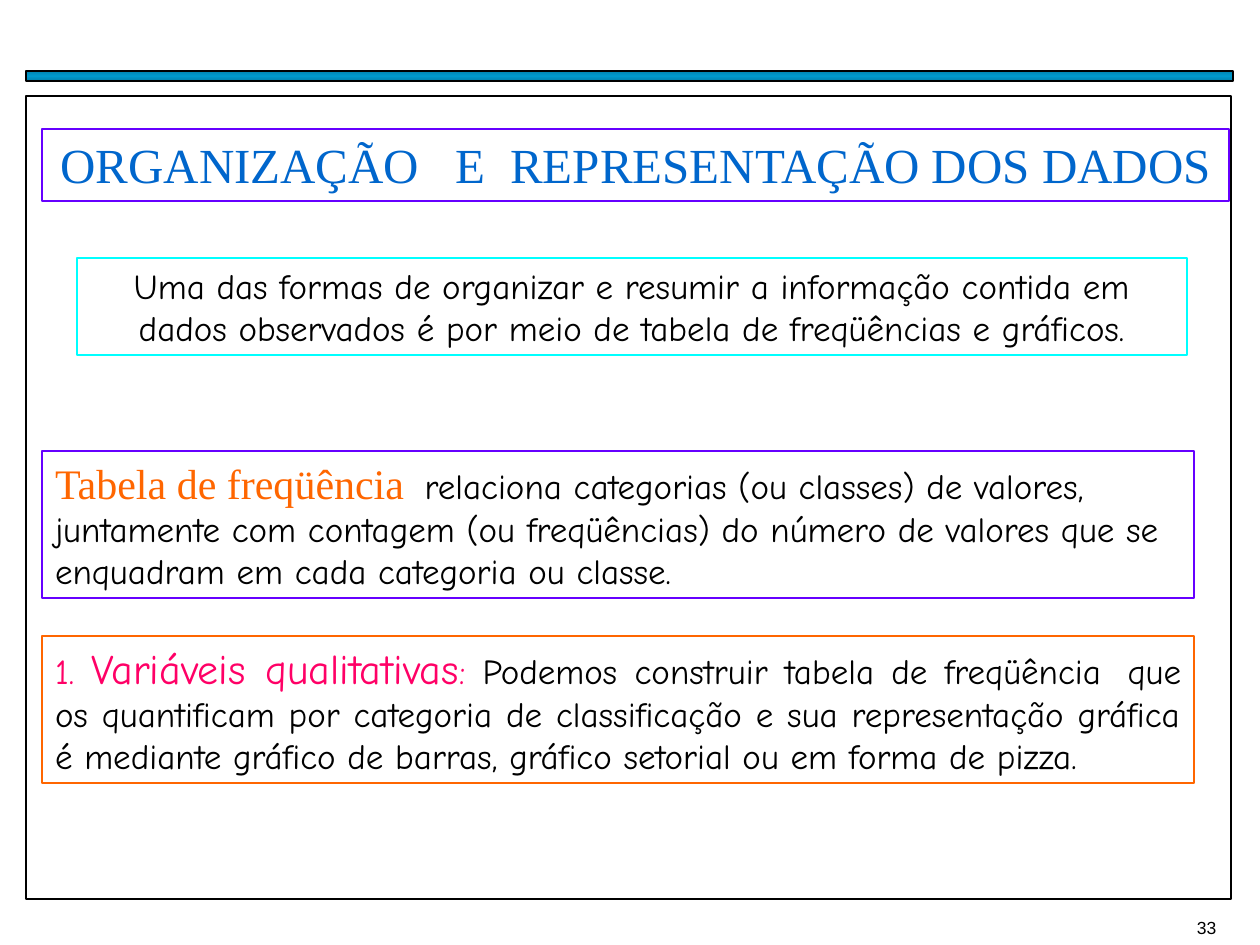
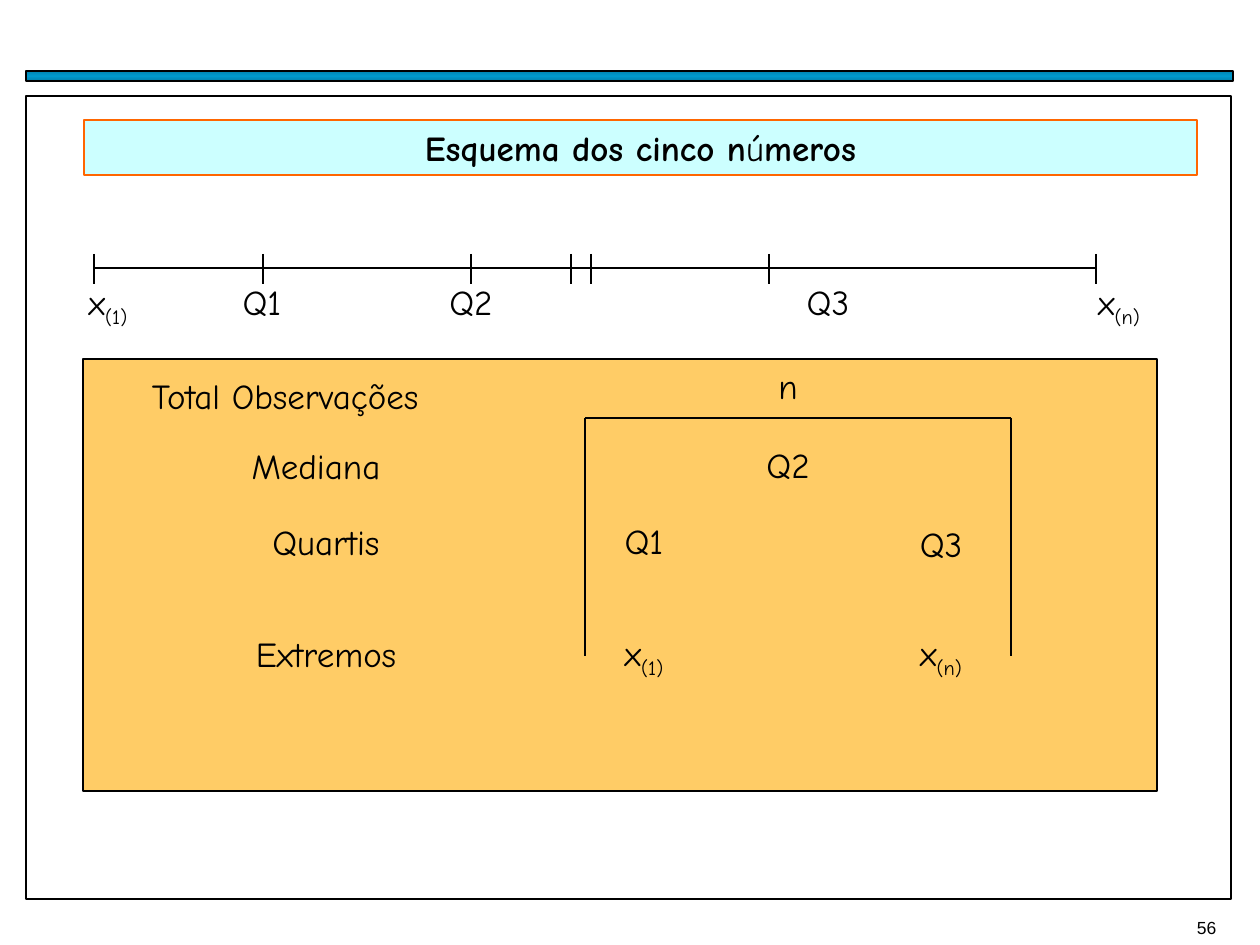
from copy import deepcopy

from pptx import Presentation
from pptx.dml.color import RGBColor
from pptx.enum.shapes import MSO_CONNECTOR as LINK, MSO_SHAPE as SHAPE
from pptx.enum.text import MSO_ANCHOR as ANCHOR, MSO_AUTO_SIZE as FIT, PP_ALIGN as ALIGN
from pptx.oxml.ns import qn
from pptx.oxml.xmlchemy import OxmlElement
from pptx.util import Emu, Pt

PX = 914400 / 126
HUES = {
    "black": "000000", "white": "FFFFFF", "blue": "0066CC", "violet": "6600FF",
    "cyan": "00FFFF", "pale": "CCFFFF", "orange": "FF6600", "pink": "FF0066",
    "sand": "FFCC66", "teal": "0099CC", "deep": "0083AF",
}
BODY = {"name": "Comic Neue", "size": 20, "hue": "black"}
SERIF = {"name": "Times New Roman"}
FIRST = [("x", {}), ("(1)", {"baseline": -25000})]
LAST = [("x", {}), ("(n)", {"baseline": -25000})]


def px(*nums):
    return [Emu(round(n * PX)) for n in nums]


def rgb(hue):
    return RGBColor.from_string(HUES[hue])


def wide(gap):
    """A single space made wider by a number of points."""
    return " ", {"spc": gap * 100}


def style(run, form):
    """Apply font values; spc and baseline go straight to the run properties."""
    for key, val in form.items():
        if key == "hue":
            run.font.color.rgb = rgb(val)
        elif key in ("spc", "baseline"):
            run.font._element.set(key, str(val))
        else:
            setattr(run.font, key, Pt(val) if key == "size" else val)


def write(shape, runs, align=ALIGN.CENTER, wrap=True, **form):
    frame = shape.text_frame
    inset = {"margin_left": 13, "margin_right": 13, "margin_top": 6, "margin_bottom": 6}
    for side, size in inset.items():
        setattr(frame, side, px(size)[0])
    frame.word_wrap = wrap
    frame.auto_size = FIT.NONE
    frame.vertical_anchor = ANCHOR.TOP
    para = frame.paragraphs[0]
    para.alignment = align
    for text, more in [(runs, {})] if isinstance(runs, str) else runs:
        run = para.add_run()
        run.text = text
        style(run, {**BODY, **form, **more})


def paint(shape, fill, line, width=1):
    if fill:
        shape.fill.solid()
        shape.fill.fore_color.rgb = rgb(fill)
    else:
        shape.fill.background()
    shape.line.color.rgb = rgb(line)
    shape.line.width = Pt(width)


def box(slide, place, fill, line, width=1):
    shape = slide.shapes.add_shape(SHAPE.RECTANGLE, *px(*place))
    shape.shadow.inherit = False
    paint(shape, fill, line, width)
    return shape


def label(slide, place, runs, **form):
    write(slide.shapes.add_textbox(*px(*place)), runs, **form)


def rule(slide, *ends):
    line = slide.shapes.add_connector(LINK.STRAIGHT, *px(*ends))
    line.line.color.rgb = rgb("black")
    line.line.width = Pt(1)
    line._element.spPr.append(OxmlElement("a:effectLst"))


def band(slide):
    bar = box(slide, (26, 71, 1207, 10), "deep", "black", 0.75)
    bar.fill.gradient()
    bar.fill.gradient_angle = 90
    stops = bar._element.spPr.find(qn("a:gradFill")).find(qn("a:gsLst"))
    stops.append(deepcopy(stops[0]))
    for stop, spot, hue in zip(bar.fill.gradient_stops, (0, 0.5, 1), ("deep", "teal", "deep")):
        stop.position = spot
        stop.color.rgb = rgb(hue)


def page(deck, number, place, title, fill, line, **form):
    """Start a slide with its band, frame, number and boxed title."""
    slide = deck.slides.add_slide(deck.slide_layouts[5])
    band(slide)
    label(slide, (1184, 911, 75, 33), number, align=ALIGN.LEFT, wrap=False,
          name="Arial", size=10)
    box(slide, (26, 96, 1205, 803), None, "black", 0)
    head = slide.shapes.title
    head.left, head.top, head.width, head.height = px(*place)
    paint(head, fill, line)
    write(head, title, **form)
    return slide


def data(deck):
    title = [("ORGANIZAÇÃO", {}), wide(14), ("E", {}), wide(7),
             ("REPRESENTAÇÃO DOS DADOS", {})]
    slide = page(deck, "33", (42, 129, 1187, 72), title, "white", "violet",
                 size=28, hue="blue", **SERIF)
    write(box(slide, (77, 258, 1110, 97), "white", "cyan"),
          "Uma das formas de organizar e resumir a informação contida em dados "
          "observados é por meio de tabela de freqüências e gráficos.")
    write(box(slide, (42, 451, 1152, 147), "white", "violet"), [
        ("Tabela de freqüência", {"size": 24, "hue": "orange", **SERIF}),
        wide(5),
        ("relaciona categorias (ou classes) de valores, juntamente com contagem "
         "(ou freqüências) do número de valores que se enquadram em cada "
         "categoria ou classe.", {}),
    ], align=ALIGN.LEFT)
    write(box(slide, (42, 636, 1152, 147), "white", "orange"), [
        ("1. ", {"hue": "pink"}),
        ("Variáveis qualitativas", {"size": 24, "hue": "pink"}),
        (":", {"hue": "pink"}),
        (" Podemos construir tabela de freqüência", {}),
        wide(5),
        ("que os quantificam por categoria de classificação e sua representação "
         "gráfica é mediante gráfico de barras, gráfico setorial ou em forma de "
         "pizza.", {}),
    ], align=ALIGN.JUSTIFY)


def scale(slide):
    """Number line with its ticks and the five labels below."""
    ticks = (94, 263, 471, 571, 591, 769, 1096)
    rule(slide, ticks[0], 268, ticks[-1], 268)
    for x in ticks:
        rule(slide, x, 254, x, 284)
    for x, runs in ((49, FIRST), (203, "Q1"), (412, "Q2"), (769, "Q3"), (1060, LAST)):
        label(slide, (x, 275, 118, 60), runs)


def scheme(slide):
    """Panel with row names on the left and a bracket round the values."""
    box(slide, (83, 359, 1074, 432), "sand", "black")
    left, right, top, foot = 585, 1011, 418, 656
    rule(slide, left, top, right, top)
    for x in (left, right):
        rule(slide, x, top, x, foot)
    label(slide, (139, 368, 432, 55), "Total Observações", align=ALIGN.LEFT)
    for x, y, name in ((207, 438, "Mediana"), (217, 514, "Quartis"), (217, 626, "Extremos")):
        label(slide, (x, y, 218, 55), name)
    cells = ((729, 359, "n"), (729, 438, "Q2"), (left, 514, "Q1"), (882, 517, "Q3"),
             (left, 626, FIRST), (882, 626, LAST))
    for x, y, runs in cells:
        label(slide, (x, y, 118, 60), runs)


def five(deck):
    title = [("Esquema dos cinco n", {}), ("ú", {"bold": False}), ("meros", {})]
    slide = page(deck, "56", (84, 120, 1113, 55), title, "pale", "orange", bold=True)
    scale(slide)
    scheme(slide)


def main():
    deck = Presentation()
    deck.slide_width, deck.slide_height = px(1260, 945)
    data(deck)
    five(deck)
    deck.save("out.pptx")


if __name__ == "__main__":
    main()
